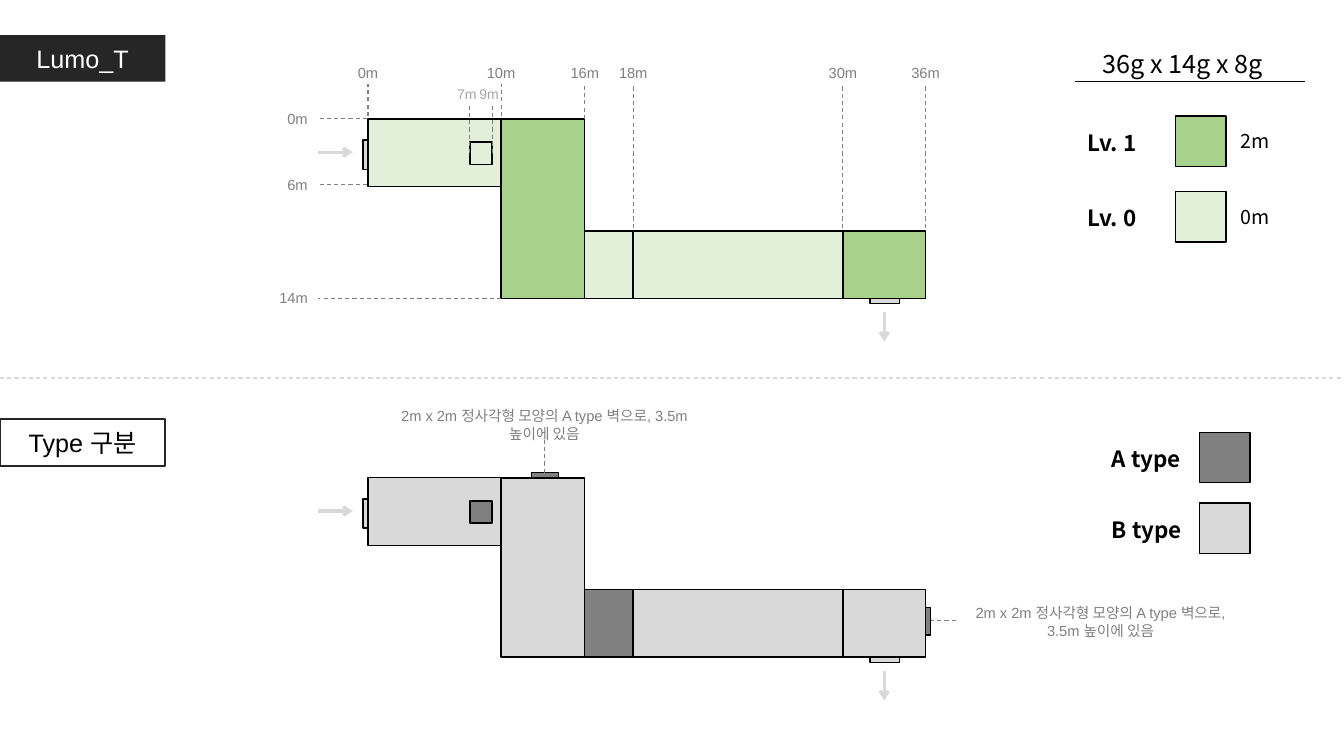
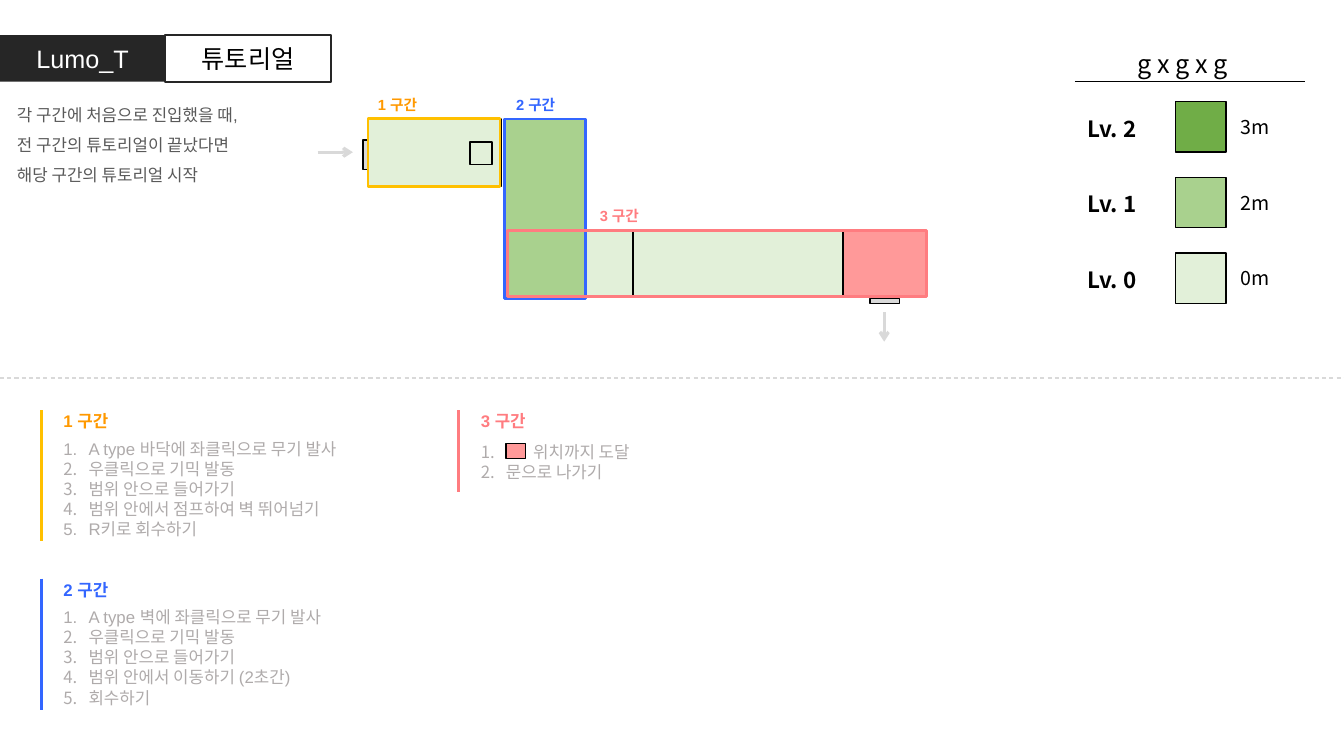
import collections
import dataclasses

import lxml.etree
import pptx
import pptx.dml.color
import pptx.enum.dml
import pptx.enum.shapes
import pptx.enum.text
import pptx.oxml.ns
import pptx.util


@dataclasses.dataclass(frozen=True)
class Theme:
    sans: str = "Arial"
    cjk: str = "Noto Sans CJK KR"
    black: str = "000000"
    white: str = "FFFFFF"
    dark: str = "262626"
    body: str = "595959"
    gray: str = "808080"
    pale: str = "A6A6A6"
    note: str = "AFABAB"
    light: str = "D9D9D9"
    level0: str = "E2F0D9"
    level1: str = "A9D18E"
    level2: str = "70AD47"
    goal: str = "FF9999"
    amber: str = "FFC000"
    orange: str = "FF9900"
    blue: str = "3366FF"
    coral: str = "FF7C80"
    title: float = 18
    legend: float = 16
    value: float = 14
    text: float = 12
    label: float = 10.5
    small: float = 10


T = Theme()
ALIGN = pptx.enum.text.PP_ALIGN
COLS, ROWS = 13.33, 7.5


class Box(collections.namedtuple("Box", "x y w h")):
    def sub(self, dx, dy, w, h):
        return Box(self.x + dx, self.y + dy, w, h)


PAGE = Box(0, 0, COLS, ROWS)
TAG = Box(0, 0.35, 1.64, 0.46)
HEADING = Box(10.66, 0.43, 2.28, 0.38)
UPPER_PLAN = Box(3.65, 1.18, 5.53, 1.78)
LOWER_PLAN = UPPER_PLAN._replace(y=4.74)

STATION = {0: 0, 10: 1.32, 16: 2.15, 18: 2.63, 30: 4.71, 36: 5.53}
DEPTH = {0: 0, 6: 0.65, 14: 1.78}
ROOM_H, LANE_Y = 0.67, 1.11
PAD_X, PAD_Y, PAD = 1.01, 0.23, 0.22


def rgb(value):
    return pptx.dml.color.RGBColor.from_string(value)


def inches(*values):
    return [pptx.util.Inches(v) for v in values]


def rect(slide, box, fill=None, line=T.black, width=1):
    sp = slide.shapes.add_shape(pptx.enum.shapes.MSO_SHAPE.RECTANGLE, *inches(*box))
    sp.shadow.inherit = False
    if fill:
        sp.fill.solid()
        sp.fill.fore_color.rgb = rgb(fill)
    else:
        sp.fill.background()
    if line:
        sp.line.color.rgb = rgb(line)
        sp.line.width = pptx.util.Pt(width)
    else:
        sp.line.fill.background()
    return sp


def line(slide, x1, y1, x2, y2, color=T.gray, width=0.75, dash=False, arrow=False):
    sp = slide.shapes.add_connector(
        pptx.enum.shapes.MSO_CONNECTOR.STRAIGHT, *inches(x1, y1, x2, y2))
    sp.line.color.rgb = rgb(color)
    sp.line.width = pptx.util.Pt(width)
    if dash:
        sp.line.dash_style = pptx.enum.dml.MSO_LINE.DASH
    qn = pptx.oxml.ns.qn
    props = sp._element.spPr
    if arrow:
        lxml.etree.SubElement(props.find(qn("a:ln")), qn("a:tailEnd"), type="arrow")
    lxml.etree.SubElement(props, qn("a:effectLst"))


def write(sp, lines, size, color, font=T.sans, bold=False, align=ALIGN.LEFT, spacing=None):
    tf = sp.text_frame
    tf.word_wrap = True
    style = {"name": font, "size": pptx.util.Pt(size), "bold": bold}
    for i, text in enumerate(lines):
        p = tf.paragraphs[0] if i == 0 else tf.add_paragraph()
        p.alignment = align
        if spacing:
            p.line_spacing = spacing
        r = p.add_run()
        r.text = text
        for key, value in style.items():
            setattr(r.font, key, value)
        r.font.color.rgb = rgb(color)
    return tf


def label(slide, box, text, size=T.label, color=T.gray, **style):
    sp = slide.shapes.add_textbox(*inches(*box))
    lines = [text] if isinstance(text, str) else text
    return write(sp, lines, size, color, **style)


def tag(slide, box, text, dark=False):
    fill, edge, ink = (T.dark, None, T.white) if dark else (T.white, T.dark, T.black)
    sp = rect(slide, box, fill, edge, 1.5)
    tf = write(sp, [text], T.title, ink, align=ALIGN.CENTER)
    tf.vertical_anchor = pptx.enum.text.MSO_ANCHOR.MIDDLE


def frame(prs, size_text):
    slide = prs.slides.add_slide(prs.slide_layouts[6])
    tag(slide, TAG, "Lumo_T", dark=True)
    middle = PAGE.h / 2
    line(slide, PAGE.x, middle, PAGE.w, middle, T.light, dash=True)
    base = HEADING.y + HEADING.h
    line(slide, HEADING.x, base, HEADING.x + HEADING.w, base, T.black, 1)
    label(slide, HEADING.sub(-0.03, 0, 2.2, 0.4), size_text, T.title, T.black,
          font=T.cjk, align=ALIGN.CENTER)
    return slide


def legend(slide, box, rows):
    step = box.h / len(rows)
    for i, (name, fill, value) in enumerate(rows):
        row = box.sub(0, i * step, box.w, step)
        rect(slide, row.sub(0.97, 0, 0.5, 0.5), fill)
        label(slide, row.sub(0, 0.08, 1.07, 0.37), name, T.legend, T.black,
              font=T.cjk, bold=True)
        if value:
            label(slide, row.sub(1.52, 0.08, 0.71, 0.33), value, T.value, T.black,
                  font=T.cjk)


def plan(slide, box, fills, hall_gap=0, lane_h=ROOM_H):
    s = STATION
    rooms = {
        "entry": (s[0], 0, s[10], ROOM_H),
        "hall": (s[10] + hall_gap, 0, s[16] - s[10] - hall_gap, box.h),
        "lane": (s[18], LANE_Y, s[30] - s[18], lane_h),
        "step": (s[16], LANE_Y, s[18] - s[16], lane_h),
        "pad": (PAD_X, PAD_Y, PAD, PAD),
        "exit": (s[30], LANE_Y, s[36] - s[30], lane_h),
        "door_in": (-0.05, 0.21, 0.05, 0.29),
        "door_out": (4.98, box.h, 0.29, 0.05),
    }
    for name, place in rooms.items():
        rect(slide, box.sub(*place), fills.get(name, T.light))
    for x1, y1, x2, y2 in ((-0.5, 0.33, -0.15, 0.33), (5.12, 1.92, 5.12, 2.21)):
        line(slide, box.x + x1, box.y + y1, box.x + x2, box.y + y2,
             T.light, 2.25, arrow=True)


def rulers(slide, box):
    ends = {0: -0.03, 10: -0.03, 16: 0}
    for metre, dx in STATION.items():
        x = box.x + dx
        line(slide, x, box.y + ends.get(metre, LANE_Y - 0.03), x, box.y - 0.35, dash=True)
        label(slide, box.sub(dx - 0.49, -0.6, 0.98, 0.28), f"{metre}m", align=ALIGN.CENTER)
    for metre, dy in DEPTH.items():
        y = box.y + dy
        reach = STATION[10] if metre == 14 else -0.01
        line(slide, box.x + reach, y, box.x - 0.5, y, dash=True)
        label(slide, box.sub(-1.48, dy - 0.14, 0.98, 0.28), f"{metre}m", align=ALIGN.RIGHT)
    for metre, dx in ((7, PAD_X), (9, PAD_X + PAD)):
        line(slide, box.x + dx, box.y + 0.34, box.x + dx, box.y - 0.14, dash=True)
        label(slide, box.sub(dx - 0.26, -0.38, 0.46, 0.27), f"{metre}m", T.small, T.pale,
              align=ALIGN.CENTER)


def wall_notes(slide, box):
    note = "2m x 2m 정사각형 모양의 A type 벽으로, 3.5m 높이에 있음"
    walls = (
        ((1.62, -0.05, 0.27, 0.05), (1.75, -0.05, 1.75, -0.37), (0.22, -0.75, 3.06, 0.45)),
        ((5.53, 1.29, 0.05, 0.27), (5.83, 1.42, 5.58, 1.42), (5.77, 1.2, 2.99, 0.45)),
    )
    for wall, (x1, y1, x2, y2), place in walls:
        rect(slide, box.sub(*wall), T.gray)
        line(slide, box.x + x1, box.y + y1, box.x + x2, box.y + y2, dash=True)
        label(slide, box.sub(*place), note, align=ALIGN.CENTER)


def zones(slide, box):
    outlines = (
        ("1 구간", T.amber, T.orange, (0, 0, 1.31, ROOM_H), (0, -0.28)),
        ("2 구간", T.blue, T.blue, (1.35, 0, 0.81, box.h), (1.37, -0.28)),
        ("3 구간", T.coral, T.coral, (1.38, LANE_Y, 4.16, 0.65), (2.2, 0.82)),
    )
    for name, edge, ink, place, (dx, dy) in outlines:
        rect(slide, box.sub(*place), None, edge, 2)
        label(slide, box.sub(dx, dy, 0.98, 0.28), name, color=ink, bold=True)


def steps(slide, box, name, edge, ink, items, drop=0.23, first_indent=0.25):
    line(slide, box.x, box.y, box.x, box.y + box.h, edge, 2.25)
    label(slide, box.sub(0.12, -0.04, 0.98, 0.3), name, T.text, ink, bold=True)
    tf = label(slide, box.sub(0.12, drop, box.w, box.h - 0.2), items, T.text, T.note)
    for i, p in enumerate(tf.paragraphs):
        indent = pptx.util.Inches(first_indent if i == 0 else 0.25)
        props = p._p.get_or_add_pPr()
        props.set("marL", str(indent))
        props.set("indent", str(-indent))
        lxml.etree.SubElement(props, pptx.oxml.ns.qn("a:buAutoNum"), type="arabicPeriod")


def layout_slide(prs):
    slide = frame(prs, "36g x 14g x 8g")
    legend(slide, Box(10.69, 1.15, 2.23, 1.5),
           [("Lv. 1", T.level1, "2m"), ("Lv. 0", T.level0, "0m")])
    plan(slide, UPPER_PLAN, {"entry": T.level0, "hall": T.level1, "lane": T.level0,
                             "step": T.level0, "pad": T.level0, "exit": T.level1})
    rulers(slide, UPPER_PLAN)
    tag(slide, TAG._replace(y=4.16), "Type 구분")
    legend(slide, Box(10.93, 4.29, 1.47, 1.4),
           [("A type", T.gray, None), ("B type", T.light, None)])
    plan(slide, LOWER_PLAN, {"step": T.gray, "pad": T.gray})
    wall_notes(slide, LOWER_PLAN)


def tutorial_slide(prs):
    slide = frame(prs, "g x g x g")
    tag(slide, TAG._replace(x=TAG.w), "튜토리얼")
    label(slide, Box(0.07, 0.89, 2.71, 0.97),
          ["각 구간에 처음으로 진입했을 때,", "전 구간의 튜토리얼이 끝났다면",
           "해당 구간의 튜토리얼 시작"], T.text, T.body, spacing=1.5)
    legend(slide, Box(10.69, 1.01, 2.23, 2.25),
           [("Lv. 2", T.level2, "3m"), ("Lv. 1", T.level1, "2m"), ("Lv. 0", T.level0, "0m")])
    plan(slide, UPPER_PLAN, {"entry": T.level0, "hall": T.level1, "lane": T.level0,
                             "step": T.level0, "pad": T.level0, "exit": T.goal},
         hall_gap=0.04, lane_h=0.64)
    zones(slide, UPPER_PLAN)
    steps(slide, Box(0.41, 4.07, 4.1, 1.3), "1 구간", T.amber, T.orange,
          ["A type 바닥에 좌클릭으로 무기 발사", "우클릭으로 기믹 발동", "범위 안으로 들어가기",
           "범위 안에서 점프하여 벽 뛰어넘기", "R키로 회수하기"])
    steps(slide, Box(0.41, 5.74, 4.1, 1.3), "2 구간", T.blue, T.blue,
          ["A type 벽에 좌클릭으로 무기 발사", "우클릭으로 기믹 발동", "범위 안으로 들어가기",
           "범위 안에서 이동하기 (2초간)", "회수하기"])
    goal = Box(4.55, 4.07, 2.01, 0.81)
    steps(slide, goal, "3 구간", T.coral, T.coral, ["위치까지 도달", "문으로 나가기"],
          drop=0.26, first_indent=0.52)
    rect(slide, goal.sub(0.47, 0.33, 0.19, 0.15), T.goal)


prs = pptx.Presentation()
prs.slide_width, prs.slide_height = inches(COLS, ROWS)
layout_slide(prs)
tutorial_slide(prs)
prs.save("out.pptx")
